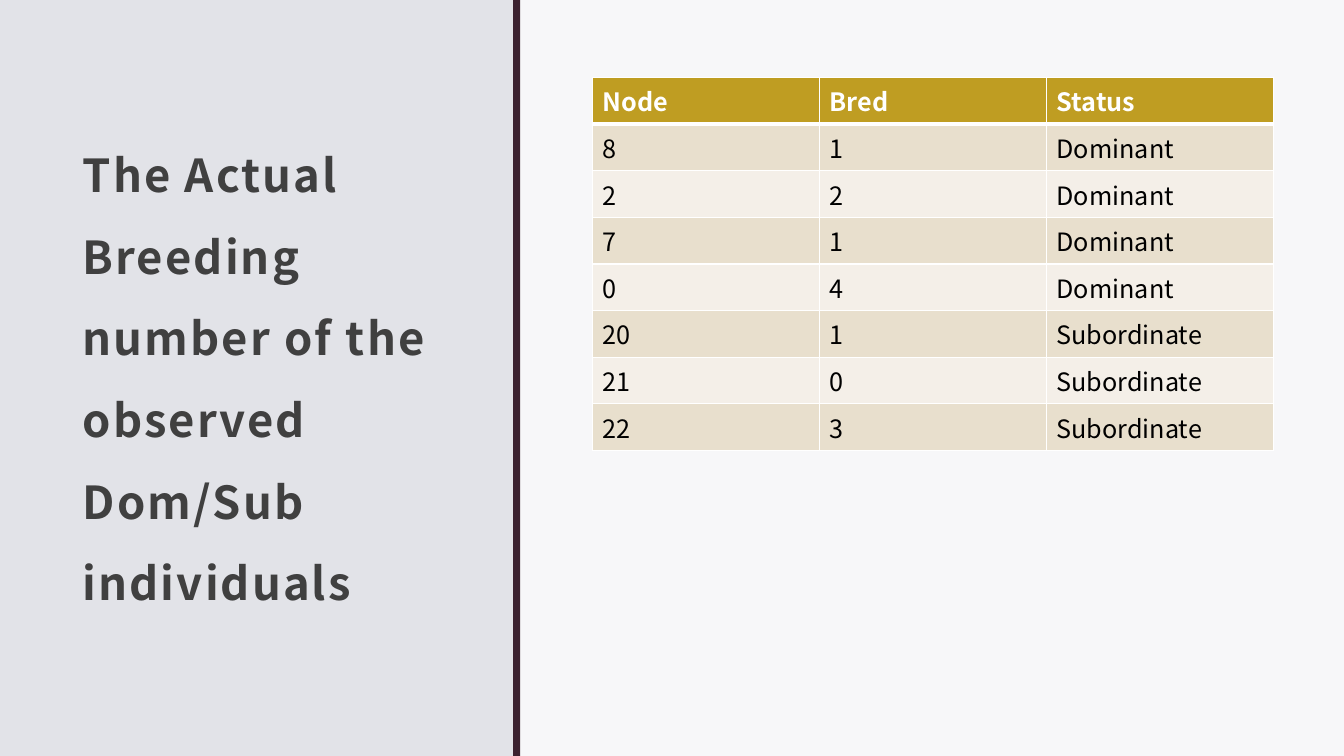
from lxml import etree
from pptx import Presentation
from pptx.dml.color import RGBColor
from pptx.enum.shapes import MSO_SHAPE
from pptx.enum.text import MSO_ANCHOR, MSO_AUTO_SIZE, PP_ALIGN
from pptx.oxml.ns import qn
from pptx.util import Inches, Pt

RECT = MSO_SHAPE.RECTANGLE
MIDDLE = MSO_ANCHOR.MIDDLE
LEFT = PP_ALIGN.LEFT
NO_FIT = MSO_AUTO_SIZE.NONE

BACKGROUND = RGBColor(0xE2, 0xE3, 0xE8)
WHITE = RGBColor(0xFF, 0xFF, 0xFF)
BLACK = RGBColor(0, 0, 0)
PLUM = RGBColor(0x3C, 0x22, 0x30)
GREY = RGBColor(0x40, 0x40, 0x40)
GOLD = RGBColor(0xBF, 0x9D, 0x22)
BANDS = [RGBColor(0xF4, 0xEF, 0xE8), RGBColor(0xE8, 0xDF, 0xCD)]
FONT = "Noto Sans CJK JP"

ROWS = [
    ("Node", "Bred", "Status"),
    ("8", "1", "Dominant"),
    ("2", "2", "Dominant"),
    ("7", "1", "Dominant"),
    ("0", "4", "Dominant"),
    ("20", "1", "Subordinate"),
    ("21", "0", "Subordinate"),
    ("22", "3", "Subordinate"),
]
COL_W, ROW_H = Inches(2.25), Inches(0.41)
TOP = Inches(0.77)


def write(tf, text, size, bold, color):
    p = tf.paragraphs[0]
    p.alignment = LEFT
    r = p.add_run()
    r.text = text
    for name, value in {"name": FONT, "size": Pt(size), "bold": bold}.items():
        setattr(r.font, name, value)
    r.font.color.rgb = color
    return p, r


def add_border(cell, side, width):
    ln = etree.SubElement(cell._tc.get_or_add_tcPr(), qn(f"a:ln{side}"), w=str(Pt(width)))
    fill = etree.SubElement(ln, qn("a:solidFill"))
    etree.SubElement(fill, qn("a:srgbClr"), val=str(WHITE))


prs = Presentation()
prs.slide_width, prs.slide_height = Inches(13.33), Inches(7.5)
s = prs.slides.add_slide(prs.slide_layouts[5])
s.background.fill.solid()
s.background.fill.fore_color.rgb = BACKGROUND

# Right panel and the divider on its left edge
panel_x, divider_x = Inches(5.16), Inches(5.09)
for x, width, color in [
    (panel_x, prs.slide_width - panel_x, WHITE),
    (divider_x, panel_x - divider_x, PLUM),
]:
    sp = s.shapes.add_shape(RECT, x, 0, width, prs.slide_height)
    sp.shadow.inherit = False
    sp.fill.solid()
    sp.fill.fore_color.rgb = color
    sp.line.fill.background()
    if color == WHITE:
        clr = sp.fill._xPr.find(qn("a:solidFill"))[0]
        etree.SubElement(clr, qn("a:alpha"), val="75000")

# Title
title = s.shapes.title
title.left, title.top, title.width, title.height = Inches(0.7), TOP, Inches(3.73), Inches(5.68)
tf = title.text_frame
for name, value in {
    "word_wrap": True, "auto_size": NO_FIT, "vertical_anchor": MIDDLE,
    "margin_left": Inches(0.12), "margin_top": Inches(0.12),
    "margin_right": Inches(0.12), "margin_bottom": Inches(0.1),
}.items():
    setattr(tf, name, value)
p, r = write(tf, "The Actual Breeding number of the observed Dom/Sub individuals", 32.4, True, GREY)
p.line_spacing = 1.5
r.font._element.set("spc", "150")

# Breeding table
n_cols = len(ROWS[0])
table = s.shapes.add_table(len(ROWS), n_cols, Inches(5.88), TOP,
                           COL_W * n_cols, ROW_H * len(ROWS)).table
for col in table.columns:
    col.width = COL_W
for i, values in enumerate(ROWS):
    table.rows[i].height = ROW_H
    header = i == 0
    for j, value in enumerate(values):
        cell = table.cell(i, j)
        write(cell.text_frame, value, 18, header, WHITE if header else BLACK)
        for side, width in {"L": 1, "R": 1, "T": 3 if i == 1 else 1, "B": 3 if header else 1}.items():
            add_border(cell, side, width)
        cell.fill.solid()
        cell.fill.fore_color.rgb = GOLD if header else BANDS[i % 2]

prs.save("out.pptx")
